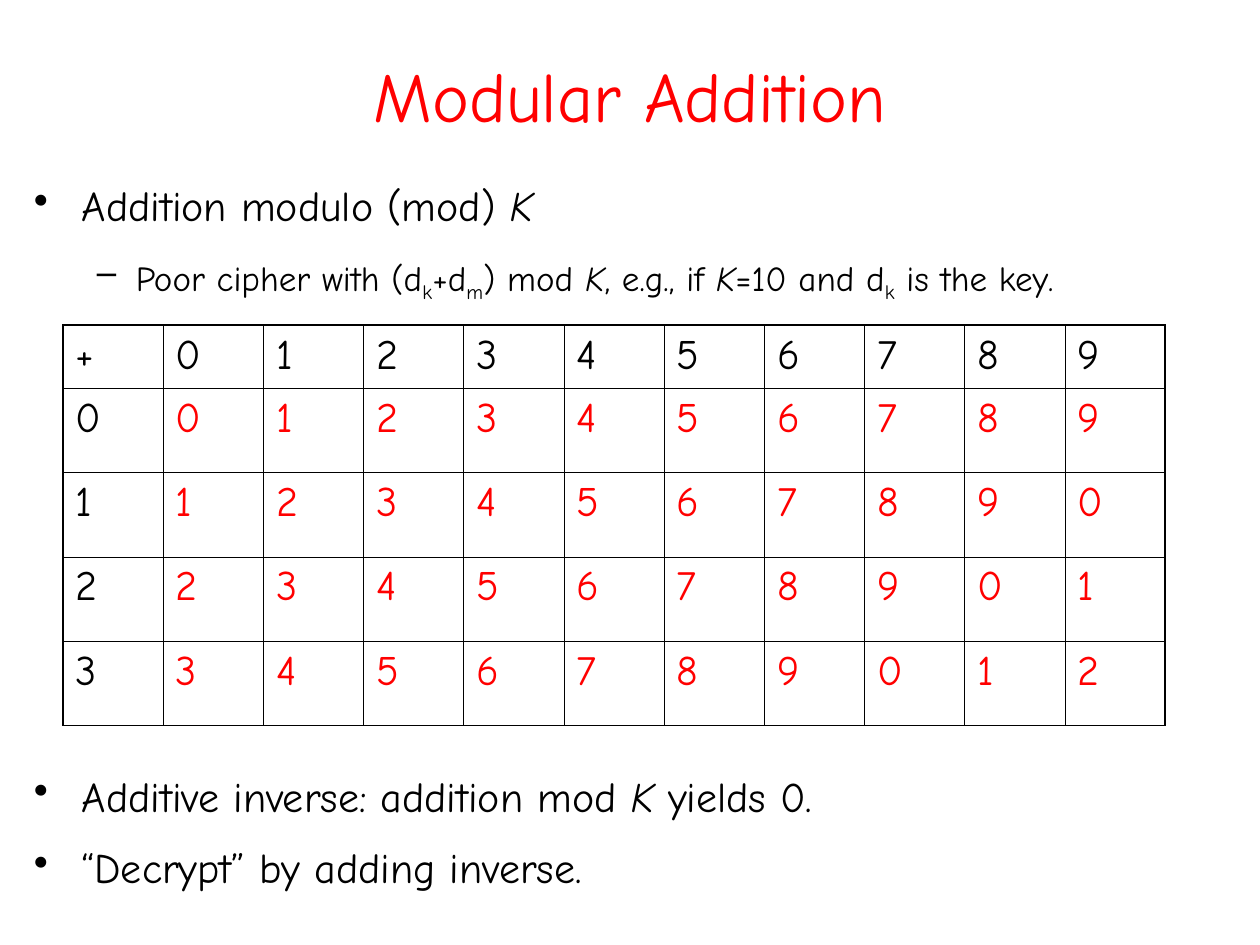
import pptx
import pptx.dml.color
import pptx.enum.text
import pptx.oxml.ns
import pptx.util
import lxml.etree

BLACK = pptx.dml.color.RGBColor(0, 0, 0)
RED = pptx.dml.color.RGBColor(255, 0, 0)
FONT = "Comic Neue"
MOD = 10
THICK, THIN = 1.08, 0.45
# Per bullet level: sign, text size, left margin and hanging indent in inches
LEVELS = [("•", 24, 0.38, 0.38), ("–", 20, 0.81, 0.31)]
TABLE_GAP = 269

BODY = [
    (0, 0, [("Addition modulo (mod) ", ""), ("K", "italic")]),
    (1, 12, [("Poor cipher with (d", ""), ("k", "sub"), ("+d", ""), ("m", "sub"),
             (") mod ", ""), ("K", "italic"), (", e.g., if ", ""), ("K", "italic"),
             ("=10 and d", ""), ("k", "sub"), (" is the key.", "")]),
    (0, TABLE_GAP, [("Additive inverse: addition mod ", ""), ("K", "italic"),
                    (" yields 0.", "")]),
    (0, 12, [("“Decrypt” by adding inverse.", "")]),
]


def add_node(parent, tag, **attrs):
    return lxml.etree.SubElement(parent, pptx.oxml.ns.qn(tag), attrs)


class Deck:
    """Holds the presentation, its current slide and the text style."""

    def __init__(self, wide, high):
        self.file = pptx.Presentation()
        self.file.slide_width = pptx.util.Inches(wide)
        self.file.slide_height = pptx.util.Inches(high)
        self.slide = self.file.slides.add_slide(self.file.slide_layouts[6])

    def place(self, left, top, width, height):
        """Turn shares of the slide's size into lengths."""
        wide, high = self.file.slide_width, self.file.slide_height
        return [int(left * wide), int(top * high), int(width * wide), int(height * high)]

    def box(self, *shares):
        frame = self.slide.shapes.add_textbox(*self.place(*shares)).text_frame
        frame.word_wrap = True
        return frame

    def run(self, para, text, size, color=BLACK, kind=""):
        run = para.add_run()
        run.text = text
        run.font.name = FONT
        run.font.size = pptx.util.Pt(size)
        run.font.color.rgb = color
        if kind == "italic":
            run.font.italic = True
        elif kind == "sub":
            run.font._element.set("baseline", "-25000")

    def title(self, text, *shares):
        frame = self.box(*shares)
        frame.vertical_anchor = pptx.enum.text.MSO_ANCHOR.MIDDLE
        para = frame.paragraphs[0]
        para.alignment = pptx.enum.text.PP_ALIGN.CENTER
        self.run(para, text, 40, RED)

    def bullets(self, items, *shares):
        frame = self.box(*shares)
        for index, (level, before, runs) in enumerate(items):
            para = frame.add_paragraph() if index else frame.paragraphs[0]
            sign, size, margin, hang = LEVELS[level]
            para.level = level
            para.line_spacing = 0.9
            para.space_before = pptx.util.Pt(before)
            para.space_after = pptx.util.Pt(3)
            props = para._p.get_or_add_pPr()
            props.set("marL", str(pptx.util.Inches(margin)))
            props.set("indent", str(-pptx.util.Inches(hang)))
            add_node(add_node(props, "a:buClr"), "a:srgbClr", val=str(BLACK))
            add_node(props, "a:buChar", char=sign)
            for text, kind in runs:
                self.run(para, text, size, kind=kind)

    def border(self, cell, edges):
        """Draw the cell's left, right, top and bottom lines; True marks an outer edge."""
        props = cell._tc.get_or_add_tcPr()
        for index, (side, outer) in enumerate(zip("LRTB", edges)):
            width = pptx.util.Pt(THICK if outer else THIN)
            line = add_node(props, "a:ln" + side, w=str(width))
            add_node(add_node(line, "a:solidFill"), "a:srgbClr", val=str(BLACK))
            props.insert(index, line)

    def table(self, rows, heights, *shares):
        last_row, last_col = len(rows) - 1, len(rows[0]) - 1
        frame = self.slide.shapes.add_table(len(rows), len(rows[0]), *self.place(*shares))
        grid = frame.table
        grid.first_row = grid.horz_banding = False
        for y, (row, height) in enumerate(zip(rows, heights)):
            grid.rows[y].height = pptx.util.Inches(height)
            for x, value in enumerate(row):
                cell = grid.cell(y, x)
                cell.fill.background()
                self.border(cell, (x == 0, x == last_col, y == 0, y == last_row))
                para = cell.text_frame.paragraphs[0]
                self.run(para, str(value), 24, RED if x and y else BLACK)


def main():
    deck = Deck(10, 7.5)
    deck.title("Modular Addition", 0.05, 0.25 / 7.5, 0.9, 1 / 7.5)
    deck.bullets(BODY, 0.017, 1.42 / 7.5, 0.983, 5.83 / 7.5)
    sums = [["+", *range(MOD)]]
    sums += [[key, *((key + digit) % MOD for digit in range(MOD))] for key in range(4)]
    deck.table(sums, [0.5] + [0.67] * 4, 0.05, 2.58 / 7.5, 0.875, 3.18 / 7.5)
    deck.file.save("out.pptx")


if __name__ == "__main__":
    main()
